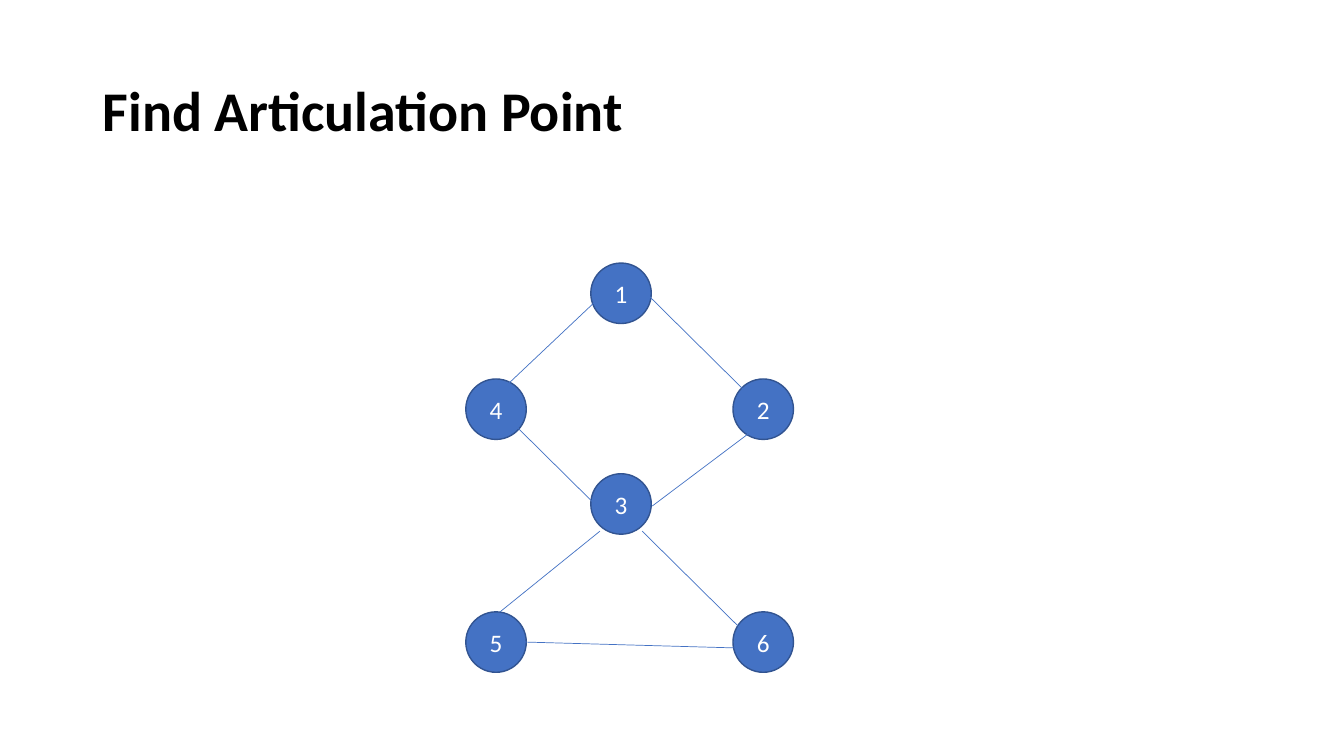
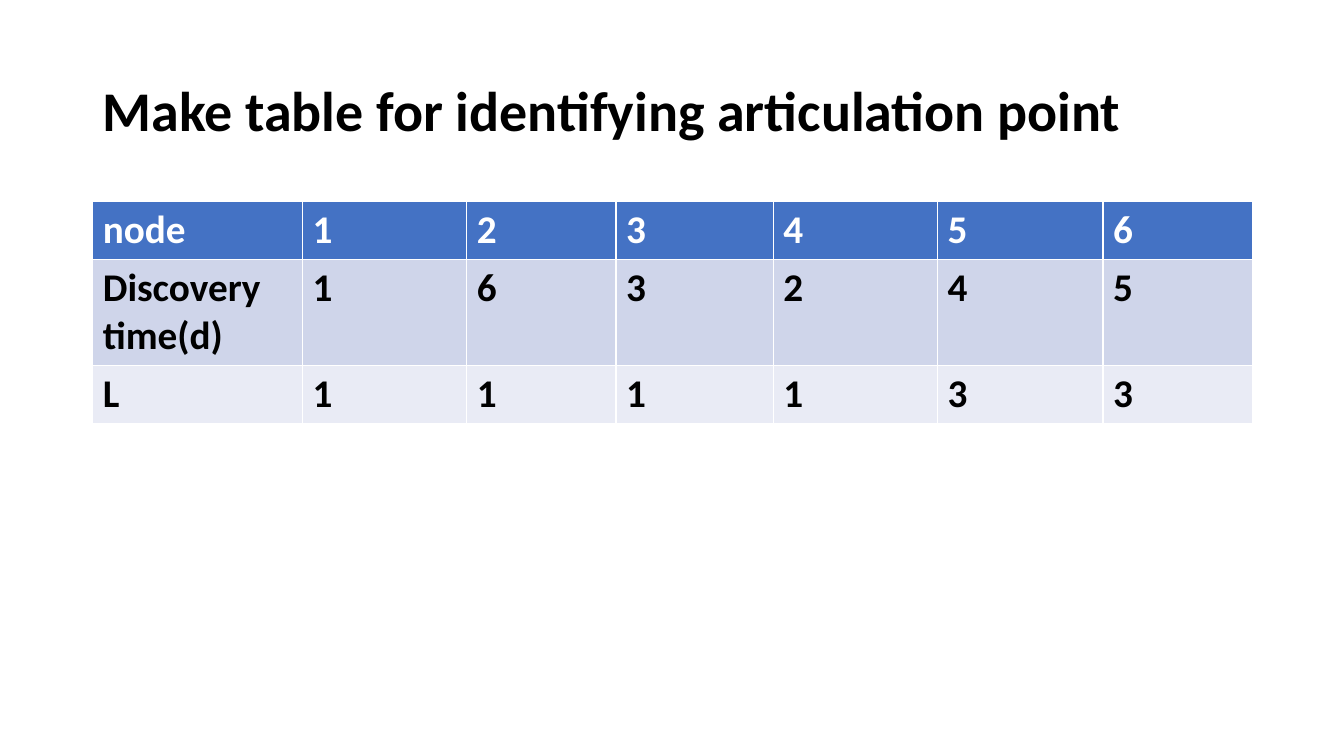
from lxml import etree
from pptx import Presentation
from pptx import util as u
from pptx.dml.color import RGBColor
from pptx.enum import shapes, text
from pptx.oxml import ns

BLACK = RGBColor(0x00, 0x00, 0x00)
WHITE = RGBColor(0xFF, 0xFF, 0xFF)
BLUE = RGBColor(0x44, 0x72, 0xC4)
DARK_BLUE = RGBColor(0x32, 0x54, 0x91)
BAND_DARK = RGBColor(0xCF, 0xD5, 0xEA)
BAND_LIGHT = RGBColor(0xE9, 0xEB, 0xF5)
FONT = "Calibri"
MARGIN = 0.92
CONTENT_WIDTH = 11.5


def add_span(para, words, size, color, bold=False):
    span = para.add_run()
    span.text = words
    span.font.name = FONT
    span.font.size = u.Pt(size)
    span.font.bold = bold
    span.font.color.rgb = color


def add_titled_page(words):
    page = deck.slides.add_slide(deck.slide_layouts[5])
    title = page.shapes.title
    title.left, title.top = u.Inches(MARGIN), u.Inches(0.4)
    title.width, title.height = u.Inches(CONTENT_WIDTH), u.Inches(1.45)
    title.text_frame.vertical_anchor = text.MSO_ANCHOR.MIDDLE
    para = title.text_frame.paragraphs[0]
    para.alignment = text.PP_ALIGN.LEFT
    para.line_spacing = 0.9
    add_span(para, words, 40, BLACK, bold=True)
    return page


deck = Presentation()
deck.slide_width, deck.slide_height = u.Inches(13.33), u.Inches(7.5)

# Graph
page = add_titled_page("Find Articulation Point")
NODE_SIZE = 0.6
LEFT, MIDDLE, RIGHT = 4.62, 5.86, 7.27
nodes = {
    "1": (MIDDLE, 2.61),
    "4": (LEFT, 3.76),
    "2": (RIGHT, 3.76),
    "6": (RIGHT, 6.07),
    "5": (LEFT, 6.07),
    "3": (MIDDLE, 4.7),
}
for label, (left, top) in nodes.items():
    node = page.shapes.add_shape(
        shapes.MSO_SHAPE.OVAL, u.Inches(left), u.Inches(top),
        u.Inches(NODE_SIZE), u.Inches(NODE_SIZE))
    node.shadow.inherit = False
    node.fill.solid()
    node.fill.fore_color.rgb = BLUE
    node.line.color.rgb = DARK_BLUE
    node.line.width = u.Pt(1)
    node.text_frame.vertical_anchor = text.MSO_ANCHOR.MIDDLE
    para = node.text_frame.paragraphs[0]
    para.alignment = text.PP_ALIGN.CENTER
    add_span(para, label, 18, WHITE)

edges = [
    (7.44, 4.29, 6.47, 5.02),  # 2 to 3
    (6.37, 5.27, 7.38, 6.27),  # 3 to 6
    (5.09, 4.2, 6.1, 5.2),     # 4 to 3
    (4.88, 3.96, 5.97, 2.93),  # 4 to 1
    (6.44, 2.94, 7.45, 3.94),  # 1 to 2
    (5.95, 5.27, 4.96, 6.07),  # 3 to 5
    (7.37, 6.43, 5.21, 6.37),  # 6 to 5
]
for ends in edges:
    edge = page.shapes.add_connector(
        shapes.MSO_CONNECTOR.STRAIGHT, *(u.Inches(end) for end in ends))
    edge.line.color.rgb = BLUE
    edge.line.width = u.Pt(0.5)
    etree.SubElement(edge._element.spPr, ns.qn("a:effectLst"))

# Discovery table
page = add_titled_page("Make table for identifying articulation point")
rows = [
    (["node", "1", "2", "3", "4", "5", "6"], 0.57, BLUE, WHITE),
    (["Discovery time(d)", "1", "6", "3", "2", "4", "5"], 1.03, BAND_DARK, BLACK),
    (["L", "1", "1", "1", "1", "3", "3"], 0.57, BAND_LIGHT, BLACK),
]
column_widths = [2.08, 1.63, 1.48, 1.56, 1.63, 1.64, 1.48]
table = page.shapes.add_table(
    len(rows), len(column_widths), u.Inches(MARGIN), u.Inches(2),
    u.Inches(CONTENT_WIDTH), u.Inches(sum(row[1] for row in rows))).table
for column, width in zip(table.columns, column_widths):
    column.width = u.Inches(width)
for row, (values, height, fill, color) in zip(table.rows, rows):
    row.height = u.Inches(height)
    for cell, value in zip(row.cells, values):
        cell.fill.solid()
        cell.fill.fore_color.rgb = fill
        add_span(cell.text_frame.paragraphs[0], value, 28, color, bold=True)

deck.save("out.pptx")
